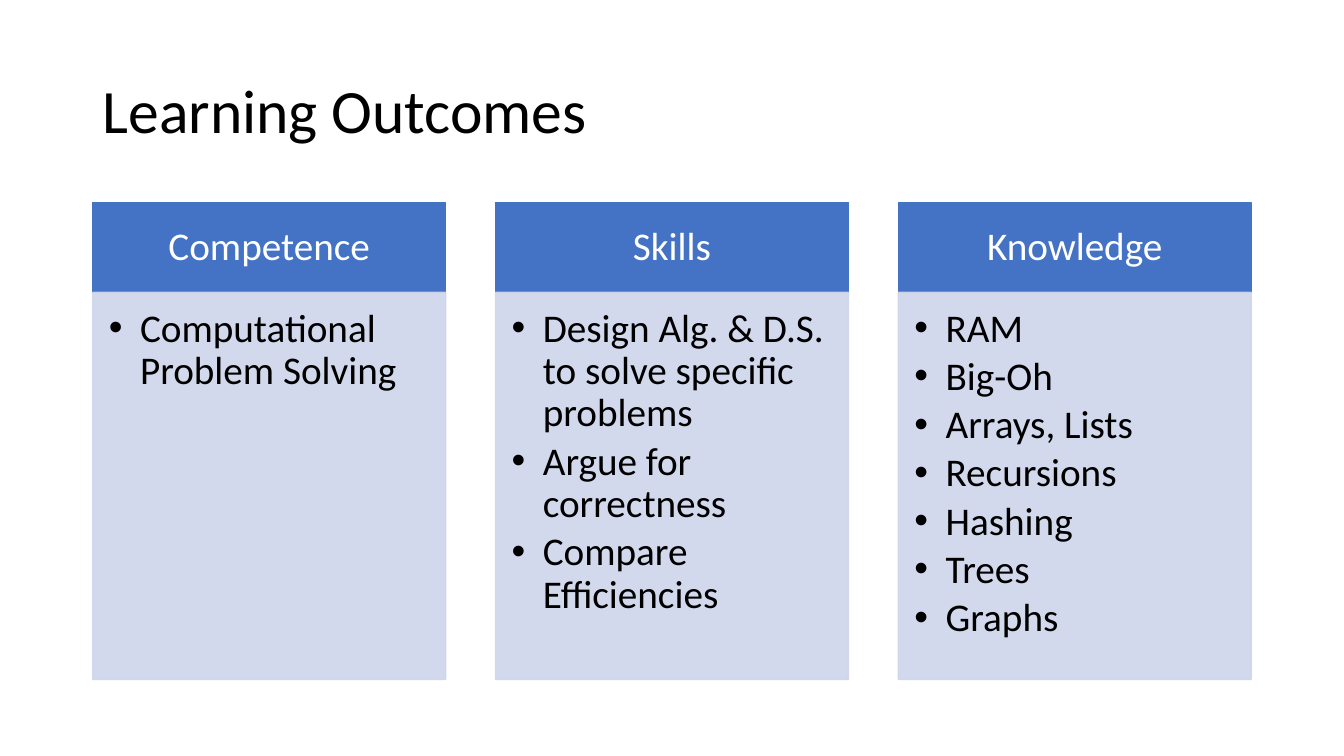
from pptx import Presentation
from pptx import util as u
from pptx.dml.color import RGBColor
from pptx.enum import shapes, text
from pptx.oxml import ns
from lxml import etree

BLACK = RGBColor(0x00, 0x00, 0x00)
WHITE = RGBColor(0xFF, 0xFF, 0xFF)
BLUE = RGBColor(0x44, 0x72, 0xC4)
PALE = RGBColor(0xCF, 0xD5, 0xEA)

# Column grid, in inches
LEFT, WIDE, GAP = 0.92, 3.5, 0.495
HEAD_TOP, HEAD_TALL = 2.01, 0.89
LIST_TOP, LIST_TALL = HEAD_TOP + HEAD_TALL, 3.84
COLUMNS = {
    "Competence": ["Computational Problem Solving"],
    "Skills": ["Design Alg. & D.S. to solve specific problems",
               "Argue for correctness", "Compare Efficiencies"],
    "Knowledge": ["RAM", "Big-Oh", "Arrays, Lists", "Recursions",
                  "Hashing", "Trees", "Graphs"],
}


class Deck:
    font = "Calibri"
    size = 28
    indent = u.Inches(0.31)

    def __init__(self):
        self.show = Presentation()
        self.show.slide_width = u.Inches(13.33)
        self.show.slide_height = u.Inches(7.5)
        self.slide = self.show.slides.add_slide(self.show.slide_layouts[6])

    def label(self, shape, lines, size, color, pads, anchor, align, after=0):
        frame = shape.text_frame
        frame.text = "\n".join(lines)
        frame.word_wrap = True
        frame.vertical_anchor = anchor
        (frame.margin_left, frame.margin_top,
         frame.margin_right, frame.margin_bottom) = map(u.Inches, pads)
        for para in frame.paragraphs:
            para.alignment = align
            para.line_spacing = 0.9
            para.space_after = u.Pt(after)
            for run in para.runs:
                run.font.name = self.font
                run.font.size = u.Pt(size)
                run.font.color.rgb = color
        return frame

    def title(self, words, *box):
        shape = self.slide.shapes.add_textbox(*map(u.Inches, box))
        self.label(shape, [words], 44, BLACK, (0.1, 0.05, 0.1, 0.05),
                   text.MSO_ANCHOR.MIDDLE, text.PP_ALIGN.LEFT)

    def block(self, color, box, alpha=100):
        shape = self.slide.shapes.add_shape(
            shapes.MSO_SHAPE.RECTANGLE, *map(u.Inches, box))
        shape.shadow.inherit = False
        shape.line.width = u.Pt(1)
        for fill in (shape.fill, shape.line.fill):
            fill.solid()
            fill.fore_color.rgb = color
        if alpha < 100:
            for tone in shape._element.spPr.iter(ns.qn("a:srgbClr")):
                etree.SubElement(tone, ns.qn("a:alpha"), val=str(alpha * 1000))
        return shape

    def header(self, words, *box):
        self.label(self.block(BLUE, box), [words], self.size, WHITE,
                   (0.22, 0.12, 0.22, 0.12),
                   text.MSO_ANCHOR.MIDDLE, text.PP_ALIGN.CENTER)

    def bullets(self, items, *box):
        frame = self.label(self.block(PALE, box, 90), items, self.size, BLACK,
                           (0.16, 0.16, 0.22, 0.24), text.MSO_ANCHOR.TOP,
                           text.PP_ALIGN.LEFT, self.size * 0.15)
        for para in frame.paragraphs:
            props = para._p.get_or_add_pPr()
            props.set("marL", str(self.indent))
            props.set("indent", str(-self.indent))
            etree.SubElement(props, ns.qn("a:buFont"), typeface="Arial")
            etree.SubElement(props, ns.qn("a:buChar"), char="•")


deck = Deck()

# Title
deck.title("Learning Outcomes", LEFT, 0.4, 11.5, 1.45)

# One header and list per column
for col, (head, items) in enumerate(COLUMNS.items()):
    x = LEFT + col * (WIDE + GAP)
    deck.header(head, x, HEAD_TOP, WIDE, HEAD_TALL)
    deck.bullets(items, x, LIST_TOP, WIDE, LIST_TALL)

deck.show.save("out.pptx")
